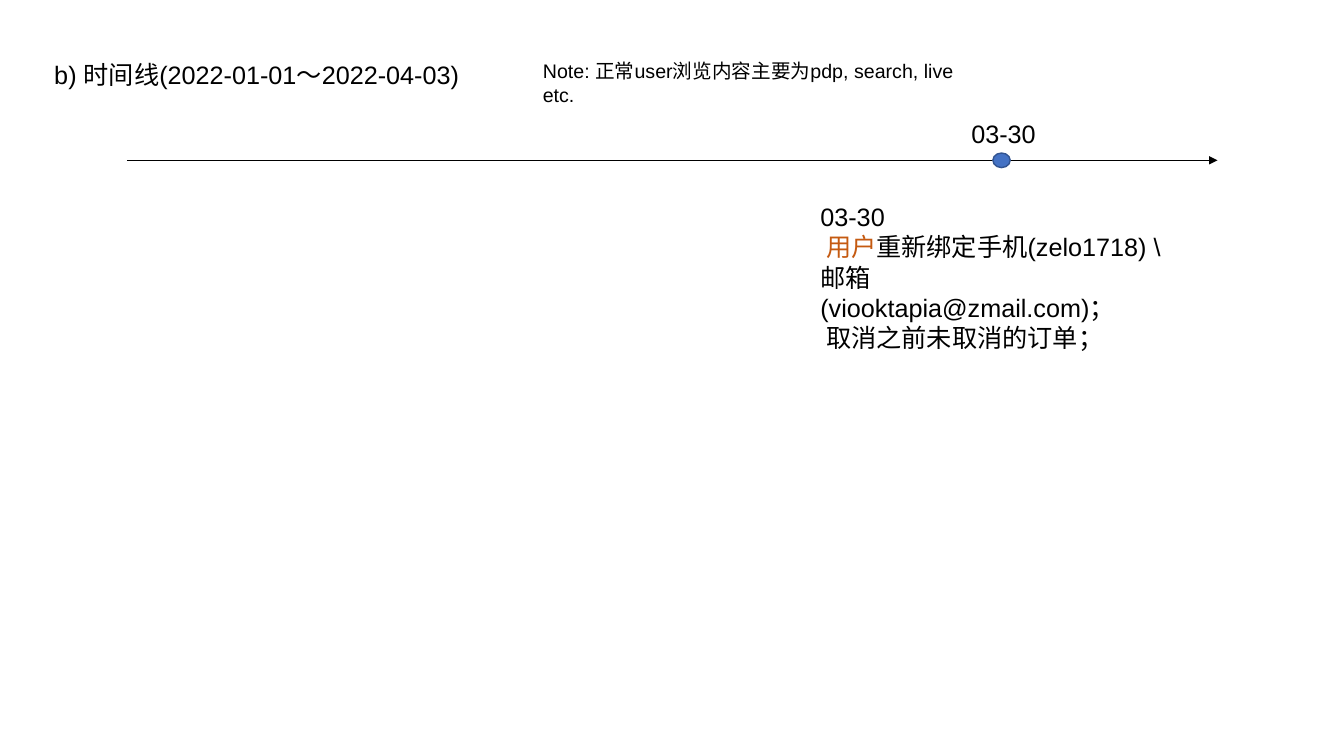
import pptx
import pptx.util
import pptx.dml.color
import pptx.enum.shapes
import pptx.enum.text
import pptx.oxml
import pptx.oxml.ns

Pt = pptx.util.Pt
HUES = {"ink": "000000", "dot": "4472C4", "rim": "325491", "user": "C55A11"}
FRAME = {"word_wrap": True,
         "auto_size": pptx.enum.text.MSO_AUTO_SIZE.SHAPE_TO_FIT_TEXT}


def hue(name):
    return pptx.dml.color.RGBColor.from_string(HUES[name])


def apply(item, form):
    for key, value in form.items():
        setattr(item, key, value)


def write(slide, box, lines, size=18):
    frame = slide.shapes.add_textbox(*map(Pt, box)).text_frame
    apply(frame, FRAME)
    for i, line in enumerate(lines):
        para = frame.add_paragraph() if i else frame.paragraphs[0]
        for text, tint in line:
            run = para.add_run()
            run.text = text
            apply(run.font, {"name": "Arial", "size": Pt(size)})
            run.font.color.rgb = hue(tint)


def header(slide, box):
    x, y, w, h = box
    write(slide, (x, y, 308, 29),
          [[("b) 时间线(2022-01-01～2022-04-03)", "ink")]])
    note = 349
    write(slide, (x + note, y, w - note, h),
          [[("Note: 正常user浏览内容主要为pdp, search, live etc.", "ink")]], 14)


def axis(slide, box):
    x, y, w, h = box
    line = slide.shapes.add_connector(
        pptx.enum.shapes.MSO_CONNECTOR.STRAIGHT,
        Pt(x), Pt(y), Pt(x + w), Pt(y))
    line.line.color.rgb = hue("ink")
    line.line.width = Pt(0.5)
    stroke = line.line._get_or_add_ln()
    tip = pptx.oxml.parse_xml(
        '<a:tailEnd %s type="triangle"/>' % pptx.oxml.ns.nsdecls("a"))
    stroke.append(tip)
    none = pptx.oxml.parse_xml(
        '<a:effectLst %s/>' % pptx.oxml.ns.nsdecls("a"))
    line._element.spPr.append(none)


def event(slide, box, date, lines):
    x, y, w, h = box
    mid = x + 136.5
    wide, high = 12.4, 10.4
    dot = slide.shapes.add_shape(
        pptx.enum.shapes.MSO_SHAPE.OVAL,
        Pt(mid - wide / 2), Pt(y - high / 2), Pt(wide), Pt(high))
    dot.shadow.inherit = False
    dot.fill.solid()
    dot.fill.fore_color.rgb = hue("dot")
    dot.line.color.rgb = hue("rim")
    dot.line.width = Pt(1)
    write(slide, (mid - 28.7, y - 33.8, 62, 29), [[(date, "ink")]])
    write(slide, (x, y + 25.9, w, h), [[(date, "ink")]] + lines)


def main():
    deck = pptx.Presentation()
    apply(deck, {"slide_width": Pt(960), "slide_height": Pt(540)})
    slide = deck.slides.add_slide(deck.slide_layouts[6])
    base = 114.5
    header(slide, (31.7, 38.9, 677.3, 24.5))
    axis(slide, (90.7, base, 779, 0))
    event(slide, (578.9, base, 257.8, 94.3), "03-30", [
        [(" 用户", "user"),
         ("重新绑定手机(zelo1718) \\ 邮箱(viooktapia@zmail.com)；", "ink")],
        [(" 取消之前未取消的订单；", "ink")],
    ])
    deck.save("out.pptx")


if __name__ == "__main__":
    main()
